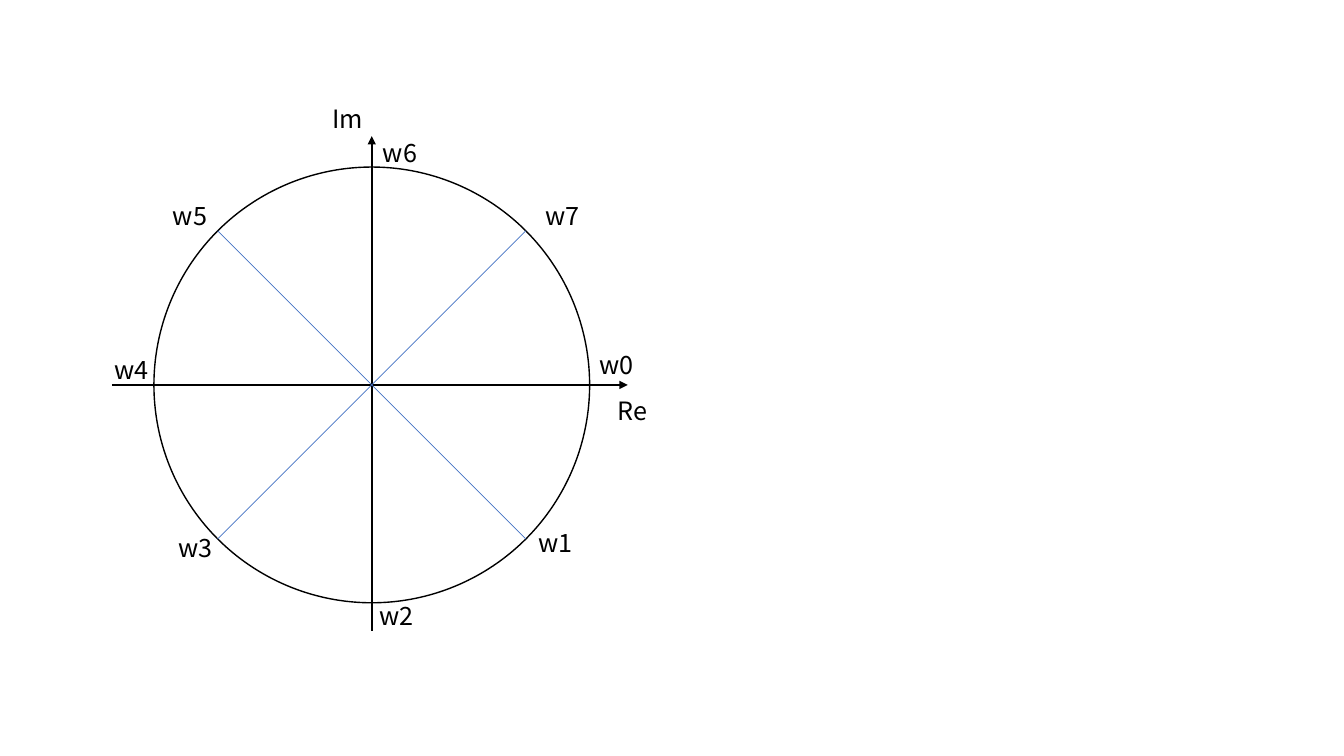
import math

from lxml import etree
from pptx import Presentation
from pptx import util as u
from pptx.dml.color import RGBColor
from pptx.enum import shapes, text
from pptx.oxml.ns import qn

COLORS = {"ink": "000000", "diagonal": "4472C4"}
FONT = {"name": "Noto Sans CJK KR", "size": u.Pt(18)}
FRAME = {"word_wrap": True, "auto_size": text.MSO_AUTO_SIZE.SHAPE_TO_FIT_TEXT}
CENTER_X, CENTER_Y, RADIUS = 9.37, 9.7, 5.49
LABEL_HEIGHT, AXIS_WIDTH, ROOT_WIDTH = 1.02, 1.45, 2.06
AXIS_LABELS = {"Re": (15.32, 9.83), "Im": (8.13, 2.49)}
ROOT_LABELS = [
    (14.86, 8.69), (13.31, 13.16), (9.32, 15.01), (4.24, 13.28),
    (2.64, 8.81), (4.11, 4.93), (9.4, 3.33), (13.49, 4.93),
]


def apply_format(target, values):
    for name, value in values.items():
        setattr(target, name, value)


def format_line(shape, color, width):
    shape.line.color.rgb = RGBColor.from_string(COLORS[color])
    shape.line.width = u.Pt(width)


def add_circle(diagram):
    box = (CENTER_X - RADIUS, CENTER_Y - RADIUS, 2 * RADIUS, 2 * RADIUS)
    circle = diagram.add_shape(shapes.MSO_SHAPE.OVAL, *map(u.Cm, box))
    circle.shadow.inherit = False
    circle.fill.background()
    format_line(circle, "ink", 1)


def add_line(diagram, start, end, color, width, arrow=False):
    points = map(u.Cm, (*start, *end))
    line = diagram.add_connector(shapes.MSO_CONNECTOR.STRAIGHT, *points)
    format_line(line, color, width)
    if arrow:
        tail = etree.SubElement(line.line._get_or_add_ln(), qn("a:tailEnd"))
        tail.set("type", "triangle")
    etree.SubElement(line._element.spPr, qn("a:effectLst"))


def add_label(diagram, wording, position, width):
    label = diagram.add_textbox(*map(u.Cm, (*position, width, LABEL_HEIGHT)))
    apply_format(label.text_frame, FRAME)
    run = label.text_frame.paragraphs[0].add_run()
    run.text = wording
    apply_format(run.font, FONT)
    run.font.color.rgb = RGBColor.from_string(COLORS["ink"])


def main():
    presentation = Presentation()
    apply_format(presentation, {"slide_width": u.Cm(33.87), "slide_height": u.Cm(19.05)})
    slide = presentation.slides.add_slide(presentation.slide_layouts[6])
    diagram = slide.shapes.add_group_shape().shapes

    add_circle(diagram)
    add_line(diagram, (2.82, CENTER_Y), (15.82, CENTER_Y), "ink", 1.5, arrow=True)
    add_line(diagram, (CENTER_X, 15.9), (CENTER_X, 3.43), "ink", 1.5, arrow=True)
    for wording, position in AXIS_LABELS.items():
        add_label(diagram, wording, position, AXIS_WIDTH)

    reach = RADIUS * math.sqrt(0.5)
    for side in (-1, 1):
        start = (CENTER_X + side * reach, CENTER_Y + reach)
        end = (CENTER_X - side * reach, CENTER_Y - reach)
        add_line(diagram, start, end, "diagonal", 0.5)

    for index, position in enumerate(ROOT_LABELS):
        add_label(diagram, f"w{index}", position, ROOT_WIDTH)

    presentation.save("out.pptx")


if __name__ == "__main__":
    main()
